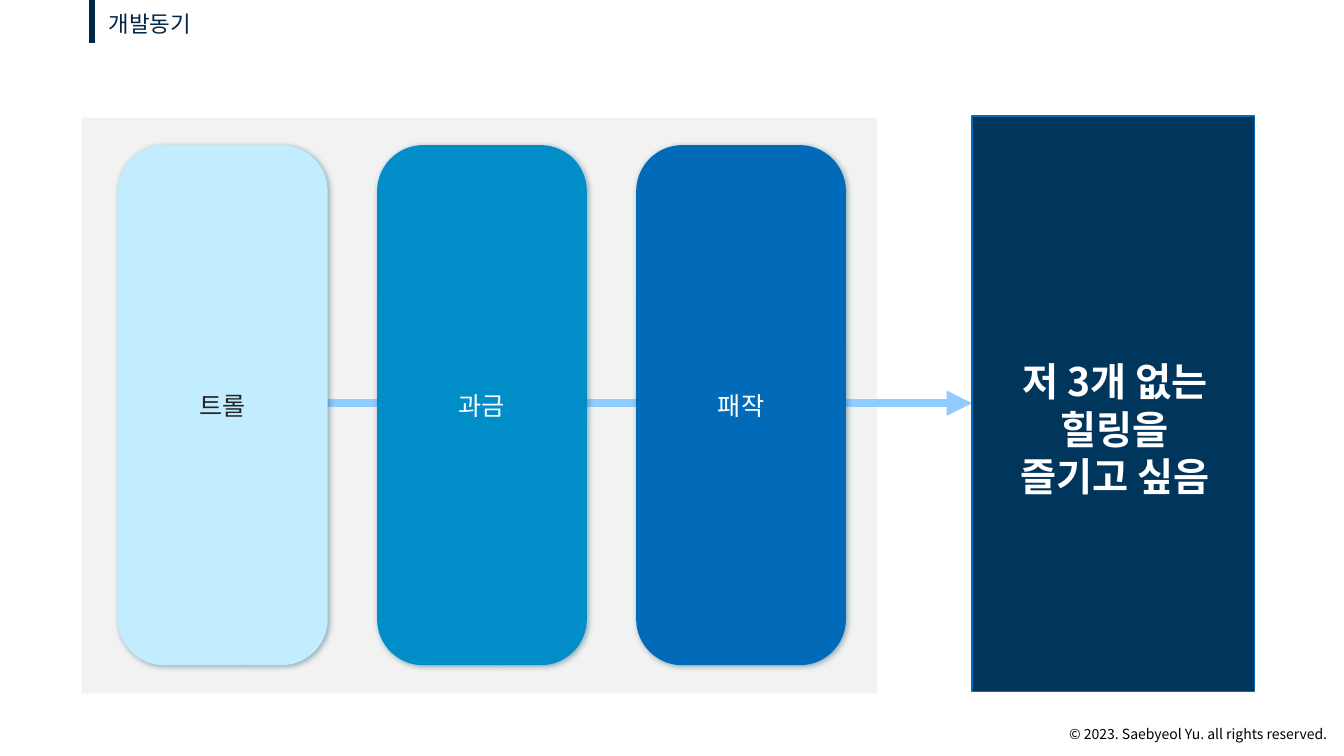
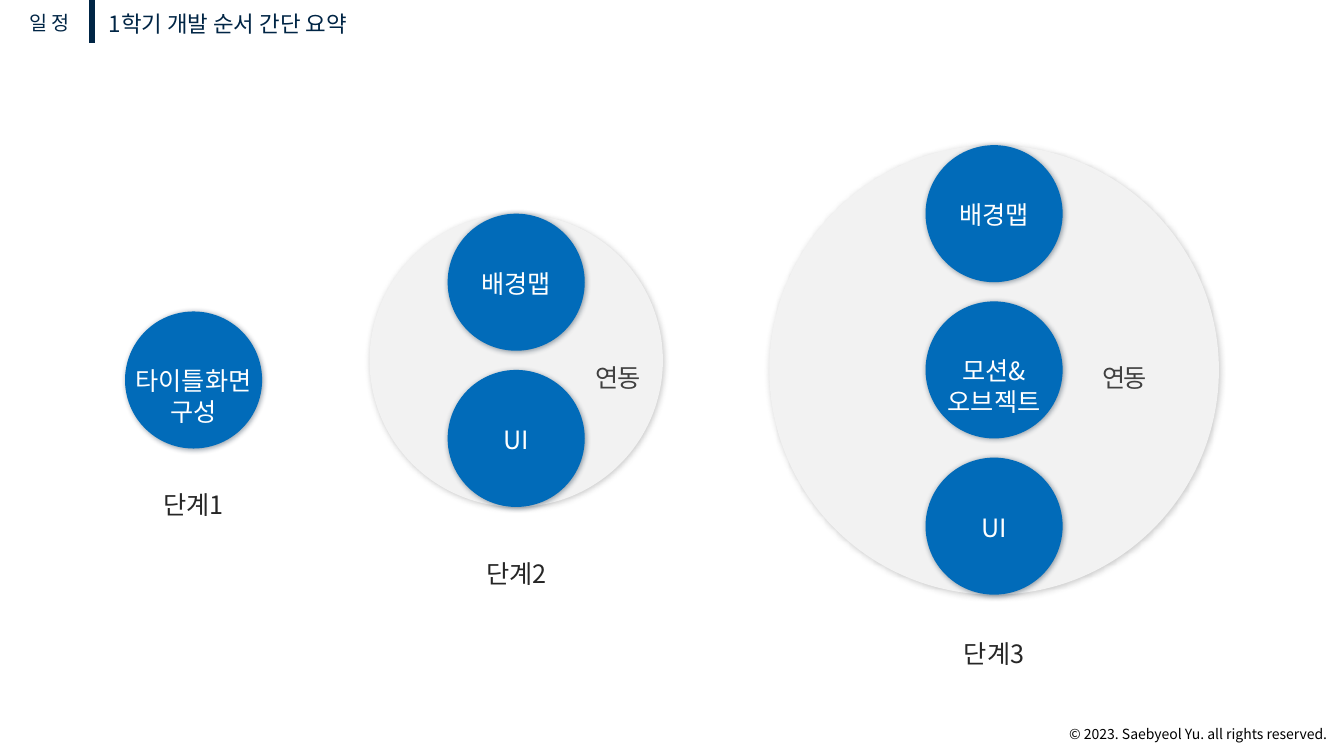
import pptx
import pptx.dml.color
import pptx.enum.shapes
import pptx.enum.text
import pptx.oxml.ns
import pptx.util
from lxml import etree
from pptx.util import Inches

FONT = "Noto Sans CJK KR"
NAVY, DEEP, BLUE, CYAN, SKY = "002545", "00355C", "016BB9", "018DC8", "C2EDFF"
ARROW, PANEL, WHITE, INK, GRAY = "91CCFF", "F2F2F2", "FFFFFF", "262626", "404040"
SHAPE = pptx.enum.shapes.MSO_SHAPE
ALIGN = pptx.enum.text.PP_ALIGN
qn = pptx.oxml.ns.qn


def rgb(color):
    return pptx.dml.color.RGBColor.from_string(color)


def write(frame, text, size, color, align=ALIGN.CENTER, bold=False, spacing=0, wrap=True):
    """Fill a text frame; spacing is the letter spacing in points."""
    frame.word_wrap = wrap
    frame.text = text
    for paragraph in frame.paragraphs:
        paragraph.alignment = align
        font = paragraph.font
        font.size, font.bold, font.name = pptx.util.Pt(size), bold, FONT
        font.color.rgb = rgb(color)
        properties = paragraph._p.pPr.find(qn("a:defRPr"))
        etree.SubElement(properties, qn("a:ea"), typeface=FONT)
        if spacing:
            properties.set("spc", str(int(spacing * 100)))


def add_text(slide, left, top, width, height, text, size, color, **style):
    box = slide.shapes.add_textbox(Inches(left), Inches(top), Inches(width), Inches(height))
    write(box.text_frame, text, size, color, **style)
    return box


def add_block(slide, kind, left, top, width, height, fill, shadow=None):
    block = slide.shapes.add_shape(kind, Inches(left), Inches(top), Inches(width), Inches(height))
    block.fill.solid()
    block.fill.fore_color.rgb = rgb(fill)
    block.line.fill.background()
    block.shadow.inherit = False
    if shadow:
        effects = block._element.spPr.find(qn("a:effectLst"))
        outer = etree.SubElement(effects, qn("a:outerShdw"), blurRad="50800", dist="12700",
                                 dir="2700000", algn="tl", rotWithShape="0")
        tint = etree.SubElement(outer, qn("a:srgbClr"), val=shadow)
        etree.SubElement(tint, qn("a:alpha"), val="40000")
    return block


def add_line(slide, x1, y1, x2, y2, color, width):
    line = slide.shapes.add_connector(pptx.enum.shapes.MSO_CONNECTOR.STRAIGHT,
                                      Inches(x1), Inches(y1), Inches(x2), Inches(y2))
    line.line.color.rgb = rgb(color)
    line.line.width = pptx.util.Pt(width)
    etree.SubElement(line._element.spPr, qn("a:effectLst"))
    return line


prs = pptx.Presentation()
prs.slide_width, prs.slide_height = Inches(13.33), Inches(7.5)

# Shared layout: title position, title bar and copyright line
layout = prs.slide_layouts[5]
layout_title = layout.placeholders[0]
layout_title.left, layout_title.top = Inches(0.98), Inches(0.05)
layout_title.width, layout_title.height = Inches(3.73), Inches(0.37)

slides = []
for heading in ("개발동기", "1학기 개발 순서 간단 요약"):
    slide = prs.slides.add_slide(layout)
    title_frame = slide.shapes.title.text_frame
    write(title_frame, heading, 16, NAVY, align=ALIGN.LEFT)
    title_frame.vertical_anchor = pptx.enum.text.MSO_ANCHOR.TOP
    title_frame.auto_size = pptx.enum.text.MSO_AUTO_SIZE.NONE
    slides.append(slide)
motive, schedule = slides

title_bar = add_line(motive, 0.91, 0, 0.91, 0.43, NAVY, 4.5)
copyright_line = add_text(motive, 10.5, 7.15, 2.76, 0.27,
                          "© 2023. Saebyeol Yu. all rights reserved.", 10, "000000",
                          align=ALIGN.RIGHT, wrap=False)
for shared in (title_bar, copyright_line):
    layout.shapes._spTree.append(shared._element)

# Slide 1: three annoyances lead to one wish
add_block(motive, SHAPE.RECTANGLE, 0.81, 1.17, 7.89, 5.71, PANEL)
arrow = add_line(motive, 1.17, 4, 9.64, 4, ARROW, 6)
etree.SubElement(arrow.line._get_or_add_ln(), qn("a:tailEnd"), type="triangle")
wish = add_block(motive, SHAPE.RECTANGLE, 9.64, 1.15, 2.8, 5.71, DEEP)
wish.line.color.rgb = rgb(BLUE)
wish.line.width = pptx.util.Pt(1)
add_text(motive, 9.96, 3.5, 2.19, 1.49, "저 3개 없는 힐링을 즐기고 싶음", 28, WHITE, bold=True)

annoyances = [("트롤", SKY, INK), ("과금", CYAN, WHITE), ("패작", BLUE, WHITE)]
for column, (name, fill, color) in enumerate(annoyances):
    pill = add_block(motive, SHAPE.ROUNDED_RECTANGLE, 1.17 + 2.57 * column, 1.44, 2.08, 5.16,
                     fill, shadow="004664")
    pill.adjustments[0] = 0.22
    write(pill.text_frame, name, 18, color)

# Slide 2: each step stacks its tasks inside one larger circle
add_text(schedule, 0.19, 0.06, 0.7, 0.32, "일정", 14, NAVY, align=ALIGN.LEFT, spacing=3,
         wrap=False)

TASK, PITCH, LABEL = 1.36, 1.55, 1.85
steps = [
    ("단계1", 1.92, 3.09, 4.81, ["타이틀화면\n구성"]),
    ("단계2", 5.12, 2.12, 5.49, ["배경맵", "UI"]),
    ("단계3", 9.86, 1.44, 6.28, ["배경맵", "모션&\n오브젝트", "UI"]),
]
for step, center, top, step_top, tasks in steps:
    if len(tasks) > 1:
        group = TASK + PITCH * (len(tasks) - 1)
        add_block(schedule, SHAPE.OVAL, center - group / 2, top, group, group, PANEL,
                  shadow="808080")
    for row, task in enumerate(tasks):
        task_top = top + PITCH * row
        add_block(schedule, SHAPE.OVAL, center - TASK / 2, task_top, TASK, TASK, BLUE,
                  shadow="001C34")
        add_text(schedule, center - LABEL / 2, task_top + 0.49, LABEL, 0.4, task, 18, WHITE)
    add_text(schedule, center - LABEL / 2, step_top, LABEL, 0.4, step, 18, INK)

for link_left in (5.79, 10.81):
    add_text(schedule, link_left, 3.55, 0.68, 0.4, "연동", 18, GRAY, spacing=-1.5, wrap=False)

prs.save("out.pptx")
